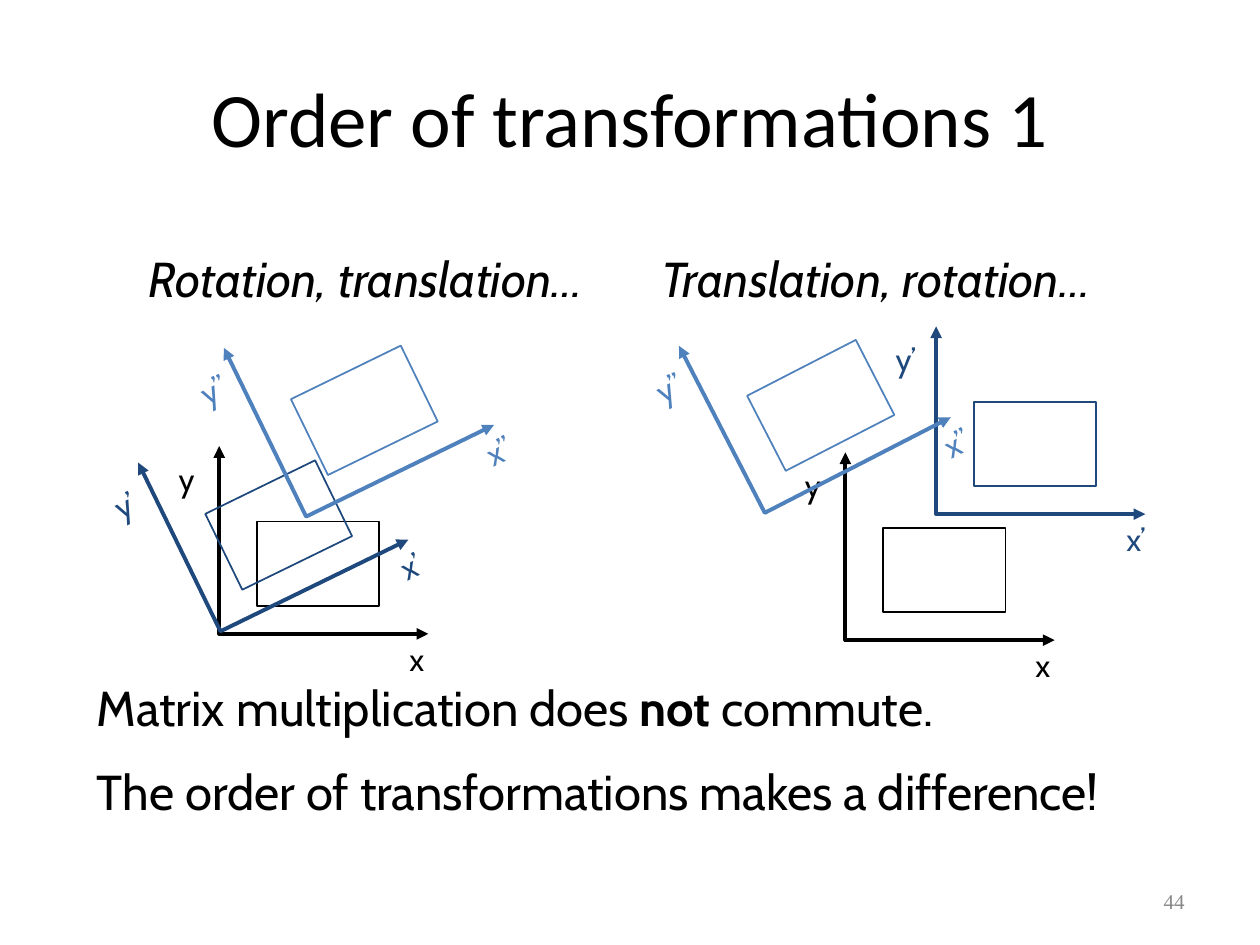
from math import cos, sin, radians

from lxml.etree import SubElement
from pptx import Presentation
from pptx.dml.color import RGBColor
from pptx.enum.shapes import MSO_SHAPE
from pptx.enum.text import MSO_ANCHOR, MSO_AUTO_SIZE, PP_ALIGN
from pptx.oxml.ns import qn
from pptx.util import Inches, Pt

THEME = {
    "black": "000000", "navy": "1F497D", "blue": "4F81BD", "gray": "898989",
    "title_font": "Calibri", "font": "Cabin", "number_font": "Times New Roman",
    "title": 44, "body": 28, "label": 18, "number": 12,
    "axis_line": 2.25, "box_line": 1,
}

TITLE = "Order of transformations 1"
HEADINGS = "Rotation, translation…\tTranslation, rotation…"
HEADING_TAB = 4.07
BODY = [
    [("Matrix multiplication does ", False), ("not ", True), ("commute.", False)],
    [("The order of transformations makes a difference!", False)],
]
NUMBER = "44"

# origin x, origin y, rotation in degrees, colour, prime marks
FRAMES = [
    (1.74, 5.03, 0, "black", ""),
    (1.75, 5.01, -26, "navy", "’"),
    (2.43, 4.10, -26, "blue", "’’"),
    (6.71, 5.08, 0, "black", ""),
    (7.43, 4.08, 0, "navy", "’"),
    (6.07, 4.07, -27.2, "blue", "’’"),
]
# Places relative to the origin of a frame
AXIS_X, AXIS_Y = 1.66, 1.49
BOX = (0.30, -0.89, 0.97, 0.67)
LABELS = [("x", 1.41, 0), ("y", -0.42, -1.43)]
LABEL_WIDTH = {"": 0.37, "’": 0.48, "’’": 0.59}
LABEL_HEIGHT = 0.5


def write(tf, paragraphs, size, font=THEME["font"], color="black", italic=None,
          align=None, anchor=MSO_ANCHOR.TOP, wrap=True, grow=True, gap=0):
    """Fill a text frame; each paragraph is a list of (text, bold) runs."""
    tf.word_wrap = wrap
    tf.vertical_anchor = anchor
    tf.auto_size = MSO_AUTO_SIZE.SHAPE_TO_FIT_TEXT if grow else MSO_AUTO_SIZE.NONE
    for i, runs in enumerate(paragraphs):
        p = tf.add_paragraph() if i else tf.paragraphs[0]
        p.alignment = align
        if i:
            p.space_before = Pt(gap)
        for text, bold in runs:
            r = p.add_run()
            r.text = text
            r.font.size = Pt(size)
            r.font.name = font
            r.font.bold = bold
            r.font.italic = italic
            r.font.color.rgb = RGBColor.from_string(THEME[color])


def add_text(shapes, place, paragraphs, size, **fmt):
    tb = shapes.add_textbox(*map(Inches, place))
    write(tb.text_frame, paragraphs, size, **fmt)
    return tb


def outline(sp, color, width):
    sp.shadow.inherit = False
    sp.fill.background()
    sp.line.color.rgb = RGBColor.from_string(THEME[color])
    sp.line.width = Pt(width)


def add_frame(s, ox, oy, angle, color, prime):
    """Draw axes, box and labels of one coordinate frame."""
    shapes = s.shapes.add_group_shape().shapes
    c, n = cos(radians(angle)), sin(radians(angle))

    def place(x, y, w, h):
        """Turn a place in the frame into the slide place before rotation."""
        cx, cy = x + w / 2, y + h / 2
        return (ox + cx * c - cy * n - w / 2, oy + cx * n + cy * c - h / 2, w, h)

    left, top, w, h = map(Inches, place(0, -AXIS_Y, AXIS_X, AXIS_Y))
    fb = shapes.build_freeform(left, top)
    fb.add_line_segments([(left, top + h), (left + w, top + h)], close=False)
    axes = fb.convert_to_shape()
    axes.rotation = angle
    outline(axes, color, THEME["axis_line"])
    ln = axes.line._get_or_add_ln()
    for end in ("a:headEnd", "a:tailEnd"):
        SubElement(ln, qn(end), type="triangle")

    box = shapes.add_shape(MSO_SHAPE.RECTANGLE, *map(Inches, place(*BOX)))
    box.rotation = angle
    outline(box, color, THEME["box_line"])

    for name, x, y in LABELS:
        tb = add_text(shapes, place(x, y, LABEL_WIDTH[prime], LABEL_HEIGHT),
                      [[(name + prime, None)]], THEME["label"], color=color, wrap=False)
        tb.rotation = angle


def main():
    prs = Presentation()
    prs.slide_width, prs.slide_height = Inches(10), Inches(7.5)
    s = prs.slides.add_slide(prs.slide_layouts[5])

    title = s.shapes.title
    title.left, title.top, title.width, title.height = map(Inches, (0.5, 0.3, 9, 1.25))
    write(title.text_frame, [[(TITLE, None)]], THEME["title"], font=THEME["title_font"],
          align=PP_ALIGN.CENTER, anchor=MSO_ANCHOR.MIDDLE, grow=False)

    for frame in FRAMES:
        add_frame(s, *frame)

    add_text(s.shapes, (0.67, 5.33, 8.5, 1.27), BODY, THEME["body"], gap=THEME["body"] / 2)

    tb = s.shapes.add_textbox(*map(Inches, (1.08, 1.92, 8.5, 0.57)))
    pPr = tb.text_frame.paragraphs[0]._p.get_or_add_pPr()
    tabs = SubElement(pPr, qn("a:tabLst"))
    SubElement(tabs, qn("a:tab"), pos=str(Inches(HEADING_TAB)), algn="l")
    write(tb.text_frame, [[(HEADINGS, None)]], THEME["body"], italic=True)

    add_text(s.shapes, (7.17, 6.95, 2.33, 0.4), [[(NUMBER, None)]], THEME["number"],
             font=THEME["number_font"], color="gray", align=PP_ALIGN.RIGHT,
             anchor=MSO_ANCHOR.MIDDLE, grow=False)
    prs.save("out.pptx")


if __name__ == "__main__":
    main()
